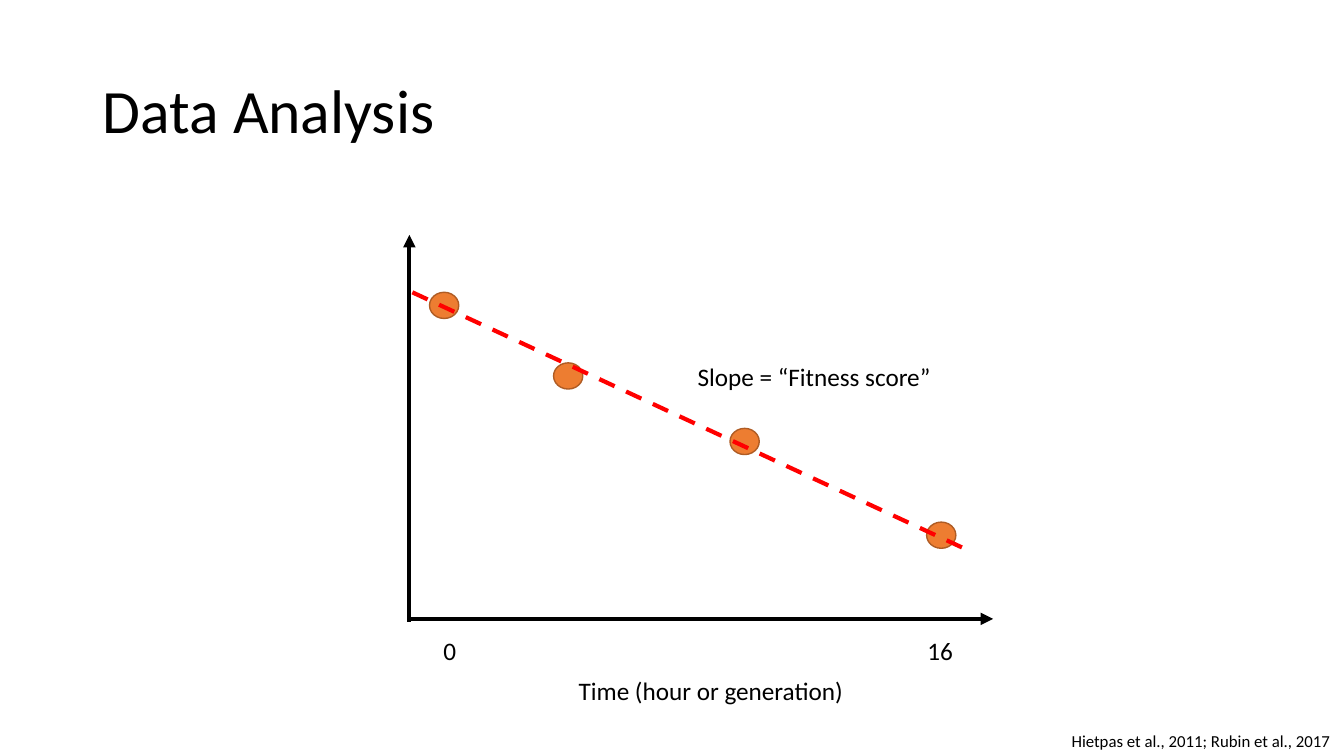
import pptx
import pptx.dml.color
import pptx.enum.dml
import pptx.enum.shapes
import pptx.enum.text
import pptx.oxml
import pptx.oxml.ns
import pptx.util

PX = 9144
BLACK = pptx.dml.color.RGBColor(0x00, 0x00, 0x00)
RED = pptx.dml.color.RGBColor(0xFF, 0x00, 0x00)
ORANGE = pptx.dml.color.RGBColor(0xED, 0x7D, 0x31)
BROWN = pptx.dml.color.RGBColor(0xAF, 0x5C, 0x24)
FONT = "Calibri"
POINT_SIZE = (29, 26)


def emu(*lengths):
    return [pptx.util.Emu(length * PX) for length in lengths]


def write(text_frame, text, size):
    paragraph = text_frame.paragraphs[0]
    paragraph.alignment = pptx.enum.text.PP_ALIGN.LEFT
    run = paragraph.add_run()
    run.text = text
    run.font.name = FONT
    run.font.size = pptx.util.Pt(size)
    run.font.color.rgb = BLACK
    return paragraph


def add_label(slide, box, text, size=18):
    shape = slide.shapes.add_textbox(*emu(*box))
    shape.text_frame.word_wrap = False
    shape.text_frame.auto_size = pptx.enum.text.MSO_AUTO_SIZE.SHAPE_TO_FIT_TEXT
    write(shape.text_frame, text, size)


def add_line(slide, start, end, color):
    connector = slide.shapes.add_connector(
        pptx.enum.shapes.MSO_CONNECTOR.STRAIGHT, *emu(*start, *end))
    connector.line.color.rgb = color
    connector.line.width = pptx.util.Pt(3)
    properties = connector._element.spPr
    properties.append(pptx.oxml.parse_xml(
        f"<a:effectLst {pptx.oxml.ns.nsdecls('a')}/>"))
    return connector


def add_axis(slide, start, end):
    connector = add_line(slide, start, end, BLACK)
    connector.line._get_or_add_ln().append(pptx.oxml.parse_xml(
        f"<a:tailEnd {pptx.oxml.ns.nsdecls('a')} type='triangle'/>"))


def add_point(slide, left, top):
    shape = slide.shapes.add_shape(
        pptx.enum.shapes.MSO_SHAPE.OVAL, *emu(left, top, *POINT_SIZE))
    shape.shadow.inherit = False
    shape.fill.solid()
    shape.fill.fore_color.rgb = ORANGE
    shape.line.color.rgb = BROWN
    shape.line.width = pptx.util.Pt(1)


def add_title(slide, box, text):
    title = slide.shapes.title
    title.left, title.top, title.width, title.height = emu(*box)
    title.text_frame.vertical_anchor = pptx.enum.text.MSO_ANCHOR.MIDDLE
    paragraph = write(title.text_frame, text, 44)
    paragraph.line_spacing = 0.9


def add_fitness_plot(slide, box):
    left, top, width, height = box
    right, bottom = left + width, top + height
    add_axis(slide, (left, bottom - 3), (right, bottom - 3))
    add_axis(slide, (left + 2, bottom), (left + 2, top))

    for x, y, label_width, text in (
        (26, 8, 33, "0"),
        (506, 8, 46, "16"),
        (160, 48, 295, "Time (hour or generation)"),
    ):
        add_label(slide, (left + x, bottom + y, label_width, 40), text)
    add_label(slide, (left + 278, top + 121, 254, 40), "Slope = “Fitness score”")

    for x, y in ((22, 57), (145, 127), (320, 192), (515, 285)):
        add_point(slide, left + x, top + y)
    trend = add_line(slide, (left + 5, top + 57), (left + 552, top + 311), RED)
    trend.line.dash_style = pptx.enum.dml.MSO_LINE.DASH


def main():
    presentation = pptx.Presentation()
    presentation.slide_width, presentation.slide_height = emu(1333, 750)
    slide = presentation.slides.add_slide(presentation.slide_layouts[5])
    add_title(slide, (92, 40, 1150, 145), "Data Analysis")
    add_fitness_plot(slide, (404, 233, 581, 384))
    add_label(slide, (1053, 720, 280, 30),
              "Hietpas et al., 2011; Rubin et al., 2017", 12)
    presentation.save("out.pptx")


if __name__ == "__main__":
    main()
